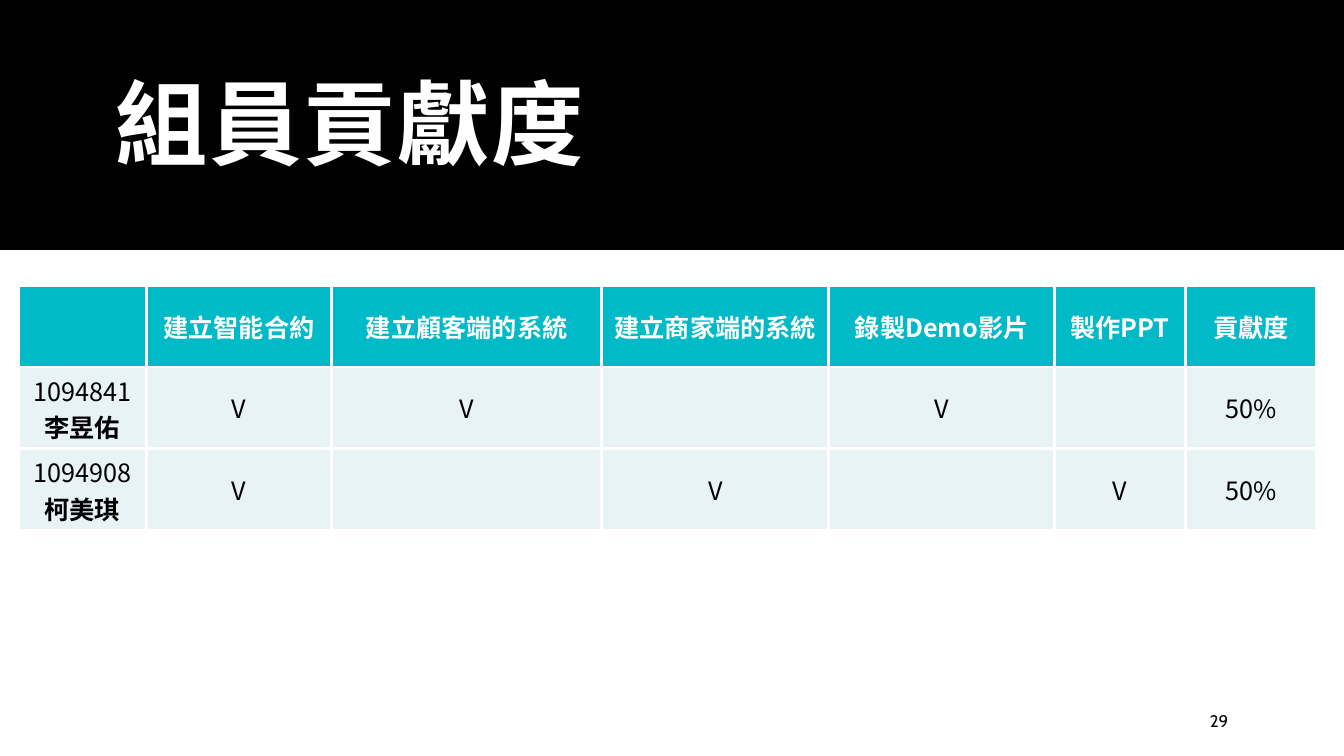
from dataclasses import dataclass

from lxml.etree import SubElement
from pptx import Presentation
from pptx.dml.color import RGBColor
from pptx.enum.text import MSO_ANCHOR, PP_ALIGN
from pptx.enum.shapes import MSO_SHAPE
from pptx.oxml.ns import qn
from pptx.slide import Slide
from pptx.table import _Cell
from pptx.text.text import TextFrame
from pptx.util import Inches, Pt

CJK_FONT = "Noto Sans CJK TC"
BLACK, WHITE, TEAL, PALE = "000000", "FFFFFF", "00BAC7", "E7F3F5"


@dataclass(frozen=True)
class Task:
    name: str
    width: float


@dataclass(frozen=True)
class Member:
    number: str
    name: str
    tasks: tuple[str, ...]
    share: str


TASKS = [
    Task("建立智能合約", 1.84),
    Task("建立顧客端的系統", 2.68),
    Task("建立商家端的系統", 2.25),
    Task("錄製Demo影片", 2.24),
    Task("製作PPT", 1.3),
]
MEMBERS = [
    Member("1094841", "李昱佑", ("建立智能合約", "建立顧客端的系統", "錄製Demo影片"), "50%"),
    Member("1094908", "柯美琪", ("建立智能合約", "建立商家端的系統", "製作PPT"), "50%"),
]
MEMBER_WIDTH, SHARE_WIDTH, ROW_HEIGHT = 1.27, 1.3, 0.81


def color(value: str) -> RGBColor:
    return RGBColor.from_string(value)


def add_line(frame: TextFrame, text: str, *, first: bool = True, size: float = 18,
             font: str = CJK_FONT, fill: str = BLACK, bold: bool = False,
             align: PP_ALIGN = PP_ALIGN.CENTER, tracking: float = 0,
             line_spacing: float = 1.0) -> None:
    para = frame.paragraphs[0] if first else frame.add_paragraph()
    para.alignment = align
    para.line_spacing = line_spacing
    span = para.add_run()
    span.text = text
    span.font.name = font
    span.font.size = Pt(size)
    span.font.bold = bold
    span.font.color.rgb = color(fill)
    properties = span.font._element
    SubElement(properties, qn("a:ea")).set("typeface", font)
    if tracking:
        properties.set("spc", str(round(tracking * 100)))


def add_box(page: Slide, left: float, top: float, width: float, height: float) -> TextFrame:
    frame = page.shapes.add_textbox(*map(Inches, (left, top, width, height))).text_frame
    frame.word_wrap = True
    frame.vertical_anchor = MSO_ANCHOR.MIDDLE
    return frame


def style_cell(cell: _Cell, fill: str) -> None:
    """Give the cell white borders, a solid fill and middle anchoring."""
    cell.vertical_anchor = MSO_ANCHOR.MIDDLE
    properties = cell._tc.get_or_add_tcPr()
    for side in ("lnL", "lnR", "lnT", "lnB"):
        border = SubElement(properties, qn(f"a:{side}"), w=str(Pt(2.25)))
        SubElement(SubElement(border, qn("a:solidFill")), qn("a:srgbClr"), val=WHITE)
    cell.fill.solid()
    cell.fill.fore_color.rgb = color(fill)


def add_banner(page: Slide) -> None:
    banner = page.shapes.add_shape(MSO_SHAPE.RECTANGLE, 0, 0, Inches(13.33), Inches(2.48))
    banner.shadow.inherit = False
    banner.fill.solid()
    banner.fill.fore_color.rgb = color(BLACK)
    banner.line.fill.background()


def add_contribution_table(page: Slide) -> None:
    widths = [MEMBER_WIDTH, *(task.width for task in TASKS), SHARE_WIDTH]
    row_count = len(MEMBERS) + 1
    table = page.shapes.add_table(
        row_count, len(widths), Inches(0.18), Inches(2.83),
        Inches(sum(widths)), Inches(ROW_HEIGHT * row_count)).table
    for column, width in zip(table.columns, widths):
        column.width = Inches(width)
    for row in table.rows:
        row.height = Inches(ROW_HEIGHT)

    rows = [["", *(task.name for task in TASKS), "貢獻度"]]
    for member in MEMBERS:
        marks = ["V" if task.name in member.tasks else "" for task in TASKS]
        rows.append([member.number, *marks, member.share])
    for row_index, texts in enumerate(rows):
        header = row_index == 0
        for column_index, text in enumerate(texts):
            cell = table.cell(row_index, column_index)
            style_cell(cell, TEAL if header else PALE)
            if text:
                add_line(cell.text_frame, text, fill=WHITE if header else BLACK, bold=header)
    for row_index, member in enumerate(MEMBERS, start=1):
        add_line(table.cell(row_index, 0).text_frame, member.name, first=False, bold=True)


def main() -> None:
    deck = Presentation()
    deck.slide_width, deck.slide_height = Inches(13.33), Inches(7.5)
    page = deck.slides.add_slide(deck.slide_layouts[6])
    add_banner(page)
    add_line(add_box(page, 1.05, 0.35, 11.23, 1.86), "組員貢獻度", size=66, fill=WHITE,
             bold=True, align=PP_ALIGN.LEFT, tracking=1.2, line_spacing=0.9)
    add_line(add_box(page, 11.26, 6.95, 1.02, 0.4), "29", size=12, font="Cabin",
             align=PP_ALIGN.RIGHT)
    add_contribution_table(page)
    deck.save("out.pptx")


if __name__ == "__main__":
    main()
